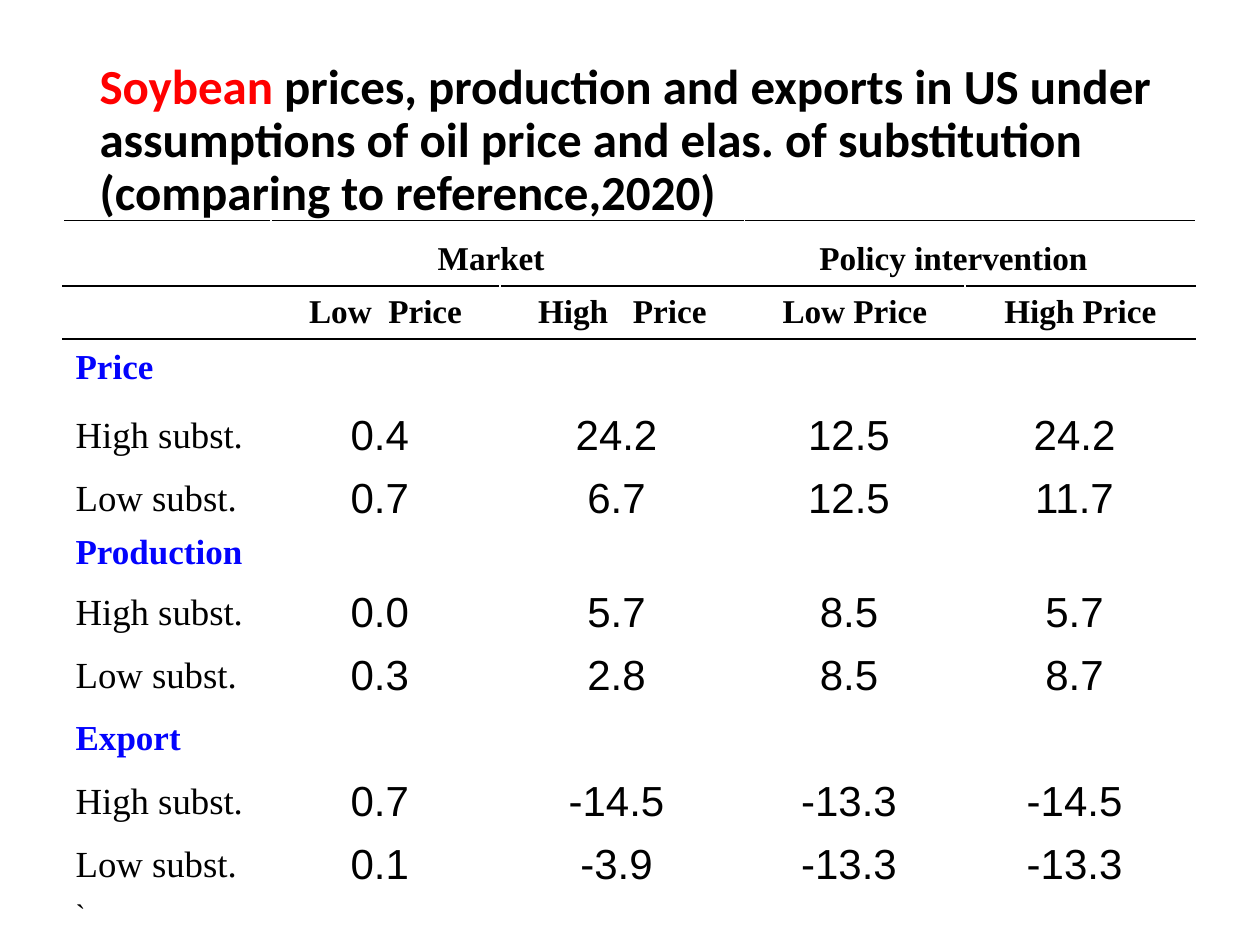
from lxml.etree import SubElement
from pptx import Presentation
from pptx.dml.color import RGBColor
from pptx.enum.text import MSO_ANCHOR as Anchor, PP_ALIGN as Align
from pptx.oxml.ns import qn
from pptx.util import Inches, Pt

BLACK = RGBColor(0, 0, 0)
RED = RGBColor(0xFF, 0, 0)
BLUE = RGBColor(0x03, 0x03, 0xFD)
SERIF, SANS, HEADING = "Times New Roman", "Arial", "Calibri"

COLUMN_WIDTHS = [1.65, 1.82, 1.94, 1.75, 1.83]
ROW_HEIGHTS = [0.45, 0.42, 0.52, 0.5, 0.5, 0.38, 0.5, 0.5, 0.5, 0.5, 0.5, 0.25]
SCENARIOS = ["Market　", "Policy intervention　"]
PRICE_CASES = ["Low  Price", "High   Price", "Low Price", "High Price"]
# Each section: name, line spacing of its name, rows of values
SECTIONS = [
    ("Price", 0.7, [("High subst.", [0.4, 24.2, 12.5, 24.2]),
                    ("Low subst.", [0.7, 6.7, 12.5, 11.7])]),
    ("Production", 0.7, [("High subst.", [0.0, 5.7, 8.5, 5.7]),
                         ("Low subst.", [0.3, 2.8, 8.5, 8.7])]),
    ("Export", 1, [("High subst.", [0.7, -14.5, -13.3, -14.5]),
                   ("Low subst.", [0.1, -3.9, -13.3, -13.3])]),
]


def add_span(para, text, size, font=SERIF, color=BLACK, bold=False):
    span = para.add_run()
    span.text = text
    span.font.size = Pt(size)
    span.font.name = font
    span.font.color.rgb = color
    span.font.bold = bold


def write_cell(cell, text, size, align=Align.LEFT, spacing=1, **style):
    para = cell.text_frame.paragraphs[0]
    para.alignment = align
    para.line_spacing = spacing
    properties = para._p.get_or_add_pPr()
    properties.set("marL", str(Inches(0.38)))
    properties.set("indent", str(-Inches(0.38)))
    add_span(para, text, size, **style)


def rule_cell(cell, *sides):
    """Draw a thin black border on the given sides, such as lnT or lnB."""
    for side in sides:
        line = SubElement(cell._tc.get_or_add_tcPr(), qn(f"a:{side}"), w=str(Pt(1)))
        fill = SubElement(line, qn("a:solidFill"))
        SubElement(fill, qn("a:srgbClr"), val=str(BLACK))


def place_title(page, left, top, width, height):
    title = page.shapes.title
    title.left, title.top, title.width, title.height = left, top, width, height
    frame = title.text_frame
    frame.word_wrap = True
    frame.vertical_anchor = Anchor.MIDDLE
    para = frame.paragraphs[0]
    para.alignment = Align.LEFT
    para.line_spacing = 0.9
    add_span(para, "Soybean", 28, font=HEADING, color=RED, bold=True)
    add_span(para, " prices, production and exports in US under assumptions of oil price "
             "and elas. of substitution (comparing to reference,2020)",
             28, font=HEADING, bold=True)


def prepare_cells(table):
    """Set the anchor, the horizontal rules and the empty fill of every cell."""
    borders = {0: ["lnT", "lnB"], 1: ["lnT", "lnB"], 2: ["lnT"],
               len(ROW_HEIGHTS) - 1: ["lnB"]}
    for index, row in enumerate(table.rows):
        for cell in row.cells:
            cell.vertical_anchor = Anchor.MIDDLE
            cell.margin_left = cell.margin_right = Inches(0.1)
            cell.margin_top = cell.margin_bottom = Inches(0.05)
            rule_cell(cell, *borders.get(index, []))
            cell.fill.background()


def fill_header(table):
    for index, scenario in enumerate(SCENARIOS):
        first = 1 + 2 * index
        table.cell(0, first).merge(table.cell(0, first + 1))
        write_cell(table.cell(0, first), scenario, 19, Align.CENTER, 1.1, bold=True)
    for column, case in enumerate(PRICE_CASES, 1):
        write_cell(table.cell(1, column), case, 19, Align.CENTER, bold=True)


def fill_sections(table):
    row = 2
    for name, spacing, lines in SECTIONS:
        write_cell(table.cell(row, 0), name, 20, spacing=spacing, color=BLUE, bold=True)
        for row, (label, values) in enumerate(lines, row + 1):
            write_cell(table.cell(row, 0), label, 21)
            for column, value in enumerate(values, 1):
                write_cell(table.cell(row, column), f"{value:.1f} ", 24,
                           Align.CENTER, font=SANS)
        row += 1
    write_cell(table.cell(row, 0), "`", 17, spacing=0.3)


def place_results(page, left, top, width, height):
    table = page.shapes.add_table(len(ROW_HEIGHTS), len(COLUMN_WIDTHS),
                                  left, top, width, height).table
    table.first_row = table.horz_banding = False
    for column, column_width in zip(table.columns, COLUMN_WIDTHS):
        column.width = Inches(column_width)
    for row, row_height in zip(table.rows, ROW_HEIGHTS):
        row.height = Inches(row_height)
    prepare_cells(table)
    fill_header(table)
    fill_sections(table)


def main():
    deck = Presentation()
    deck.slide_width, deck.slide_height = Inches(10), Inches(7.5)
    page = deck.slides.add_slide(deck.slide_layouts[5])
    place_title(page, Inches(0.69), Inches(0.4), Inches(8.62), Inches(1.45))
    place_results(page, Inches(0.5), Inches(1.75), Inches(9), Inches(5.51))
    deck.save("out.pptx")


if __name__ == "__main__":
    main()
